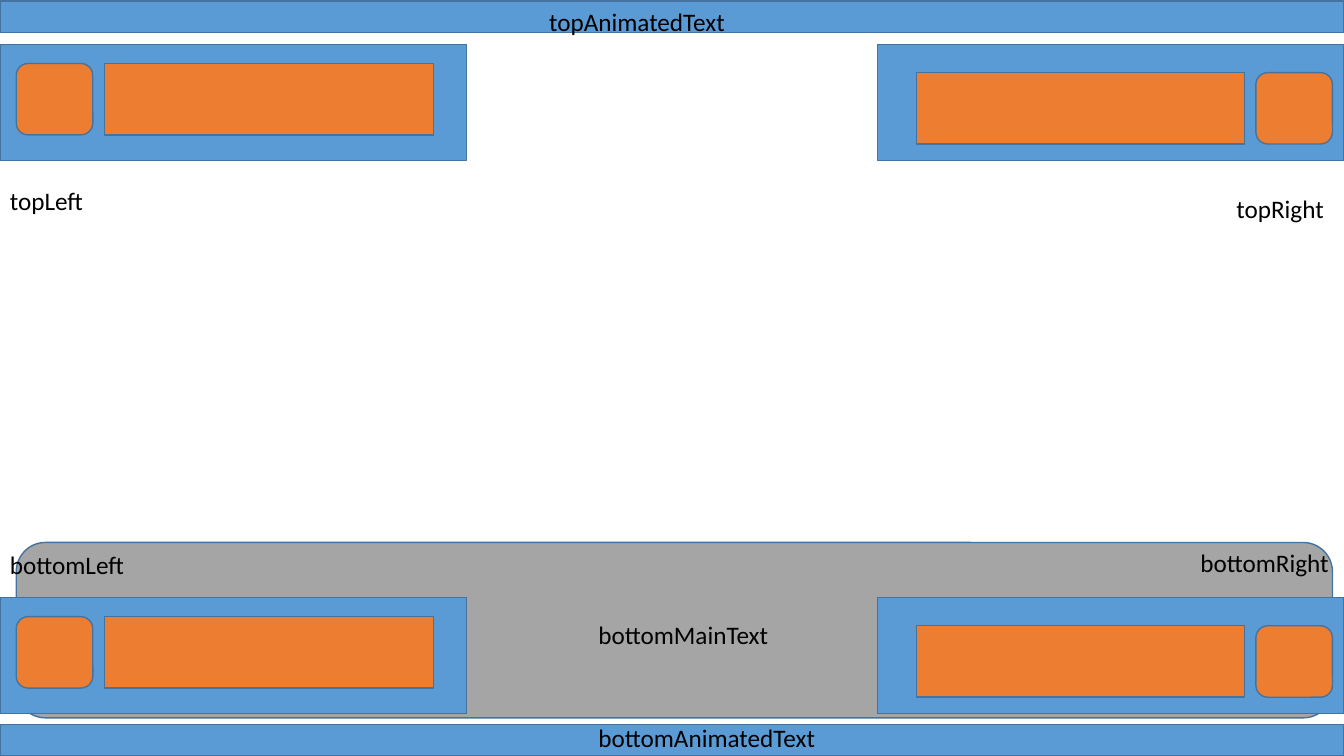
import pptx
import pptx.dml.color
import pptx.enum.shapes
import pptx.enum.text
import pptx.util

Cm = pptx.util.Cm
Pt = pptx.util.Pt
RGB = pptx.dml.color.RGBColor.from_string
RECT = pptx.enum.shapes.MSO_SHAPE.RECTANGLE
ROUND = pptx.enum.shapes.MSO_SHAPE.ROUNDED_RECTANGLE

THEME = {
    "band": RGB("5B9BD5"),
    "accent": RGB("ED7D31"),
    "main": RGB("A5A5A5"),
    "outline": RGB("43739E"),
    "text": RGB("000000"),
    "font": "Calibri",
    "size": Pt(18),
    "line": Pt(1),
}

WIDTH, HEIGHT = 33.87, 19.05
BAR_H = 0.79
PANEL_W, PANEL_H = 11.76, 2.92
ICON_W, FIELD_W, ITEM_H = 1.93, 8.28, 1.8
MARGIN = 0.41

prs = pptx.Presentation()
prs.slide_width, prs.slide_height = Cm(WIDTH), Cm(HEIGHT)
s = prs.slides.add_slide(prs.slide_layouts[6])


def add_block(kind, left, top, width, height, color):
    """Add a filled, outlined shape measured in centimetres."""
    sp = s.shapes.add_shape(kind, Cm(left), Cm(top), Cm(width), Cm(height))
    sp.shadow.inherit = False
    sp.fill.solid()
    sp.fill.fore_color.rgb = THEME[color]
    sp.line.color.rgb = THEME["outline"]
    sp.line.width = THEME["line"]


def add_label(text, left, top, width):
    """Add a one-line label measured in centimetres."""
    sp = s.shapes.add_textbox(Cm(left), Cm(top), Cm(width), Cm(1.02))
    tf = sp.text_frame
    tf.word_wrap = True
    tf.auto_size = pptx.enum.text.MSO_AUTO_SIZE.SHAPE_TO_FIT_TEXT
    r = tf.paragraphs[0].add_run()
    r.text = text
    r.font.name = THEME["font"]
    r.font.size = THEME["size"]
    r.font.color.rgb = THEME["text"]


# Main area behind the bottom panels
add_block(ROUND, MARGIN, 13.67, 33.17, 4.42, "main")

# Animated text bars
for top in (0.03, HEIGHT - BAR_H):
    add_block(RECT, 0, top, WIDTH, BAR_H, "band")

# Corner panels, each with a text field and an icon
for top in (1.12, 15.06):
    for panel_x, field_x, icon_x, drop in (
        (0, 2.64, MARGIN, 0.48),
        (WIDTH - PANEL_W, 23.09, 31.65, 0.71),
    ):
        add_block(RECT, panel_x, top, PANEL_W, PANEL_H, "band")
        add_block(RECT, field_x, top + drop, FIELD_W, ITEM_H, "accent")
        add_block(ROUND, icon_x, top + drop, ICON_W, ITEM_H, "accent")

# Labels
for text, left, top, width in (
    ("topLeft", 0, 4.55, 2.95),
    ("topRight", 30.91, 4.75, 2.95),
    ("bottomLeft", 0, 13.72, 4.19),
    ("bottomRight", 30, 13.67, 4.19),
    ("bottomAnimatedText", 14.83, 18.08, 6.68),
    ("topAnimatedText", 13.59, 0.03, 6.68),
    ("bottomMainText", 14.83, 15.49, 4.93),
):
    add_label(text, left, top, width)

prs.save("out.pptx")
